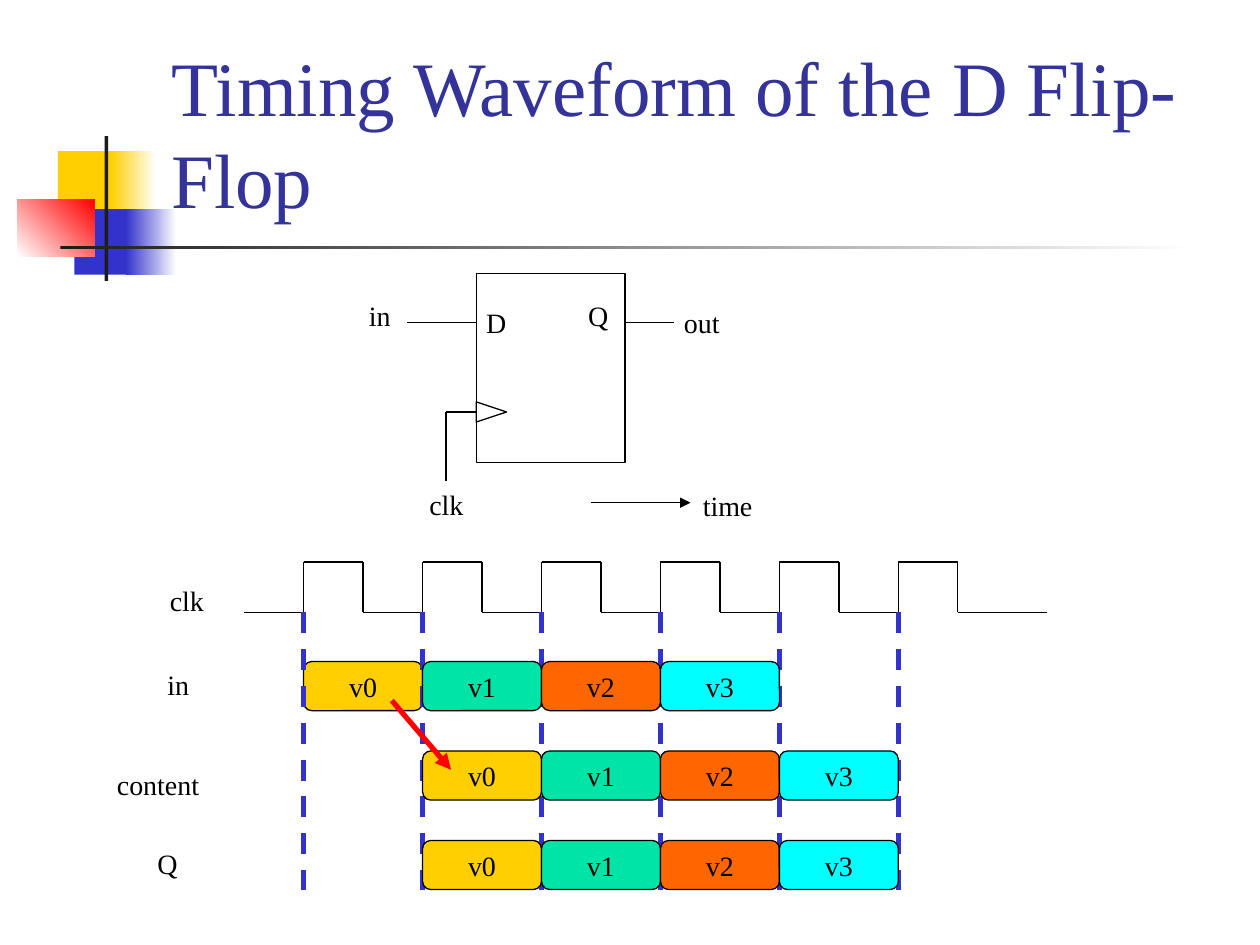
from itertools import pairwise

from lxml import etree
from pptx import Presentation
from pptx.dml.color import RGBColor
from pptx.enum import dml, shapes, text
from pptx.oxml import ns
from pptx.util import Inches, Pt

FONT = "Times New Roman"
BLACK = RGBColor(0, 0, 0)
WHITE = RGBColor(255, 255, 255)
CHARCOAL = RGBColor(0x1C, 0x1C, 0x1C)
NAVY = RGBColor(0x33, 0x33, 0x99)
BLUE = RGBColor(0x33, 0x33, 0xCC)
RED = RGBColor(255, 0, 0)
YELLOW = RGBColor(0xFF, 0xCF, 0x01)
GREEN = RGBColor(0x00, 0xE4, 0xA8)
ORANGE = RGBColor(0xFF, 0x66, 0x00)
CYAN = RGBColor(0, 255, 255)

VALUE_COLORS = (YELLOW, GREEN, ORANGE, CYAN)
FIRST_EDGE = 2.41
EDGE_COUNT = 6
PERIOD = (7.13 - FIRST_EDGE) / (EDGE_COUNT - 1)
CLOCK_HIGH, CLOCK_LOW = 4.46, 4.86
DIAGRAM_BOTTOM = 7.06
IN_TOP, CONTENT_TOP, Q_TOP = 5.25, 5.96, 6.67


def write_text(shape, words, size=16, color=BLACK, align=text.PP_ALIGN.LEFT,
               anchor=text.MSO_ANCHOR.TOP, wrap=False, fit=text.MSO_AUTO_SIZE.NONE):
    """Put one formatted run of words into a shape."""
    frame = shape.text_frame
    frame.auto_size = fit
    frame.word_wrap = wrap
    frame.vertical_anchor = anchor
    para = frame.paragraphs[0]
    para.alignment = align
    span = para.add_run()
    span.text = words
    span.font.name = FONT
    span.font.size = Pt(size)
    span.font.color.rgb = color


def add_label(page, words, left, top, width):
    """Add a one-line label."""
    box = page.shapes.add_textbox(Inches(left), Inches(top), Inches(width), Inches(0.37))
    write_text(box, words, fit=text.MSO_AUTO_SIZE.SHAPE_TO_FIT_TEXT)


def add_box(page, kind, left, top, width, height, fill=None, outline=BLACK):
    """Add a preset shape with an optional solid fill and outline."""
    box = page.shapes.add_shape(kind, Inches(left), Inches(top), Inches(width), Inches(height))
    box.shadow.inherit = False
    if fill is None:
        box.fill.background()
    else:
        box.fill.solid()
        box.fill.fore_color.rgb = fill
    if outline is None:
        box.line.fill.background()
    else:
        box.line.color.rgb = outline
        box.line.width = Pt(0.75)
    return box


def add_fade(page, left, top, width, height, start, end, angle=0):
    """Add a rectangle that fades between two colours."""
    box = add_box(page, shapes.MSO_SHAPE.RECTANGLE, left, top, width, height, outline=None)
    box.fill.gradient()
    box.fill.gradient_angle = angle
    for stop, color in zip(box.fill.gradient_stops, (start, end)):
        stop.color.rgb = color


def add_line(page, start, end, color=BLACK, width=0.75, dashed=False, arrow=False):
    """Add a straight line, optionally dashed or with an arrowhead."""
    line = page.shapes.add_connector(shapes.MSO_CONNECTOR.STRAIGHT,
                                     *(Inches(value) for value in (*start, *end)))
    line.line.color.rgb = color
    line.line.width = Pt(width)
    if dashed:
        line.line.dash_style = dml.MSO_LINE.DASH
    if arrow:
        etree.SubElement(line.line._get_or_add_ln(), ns.qn("a:tailEnd"), type="triangle")
    etree.SubElement(line._element.spPr, ns.qn("a:effectLst"))


def add_path(page, points):
    """Join successive points with lines."""
    for start, end in pairwise(points):
        add_line(page, start, end)


def edge(number):
    """Return the horizontal position of a rising clock edge."""
    return FIRST_EDGE + number * PERIOD


def add_value(page, number, slot, top):
    """Add a numbered value in one clock period."""
    box = add_box(page, shapes.MSO_SHAPE.ROUNDED_RECTANGLE, edge(slot), top, PERIOD, 0.39,
                  VALUE_COLORS[number])
    write_text(box, f"v{number}", align=text.PP_ALIGN.CENTER, anchor=text.MSO_ANCHOR.MIDDLE)


def add_decoration(page):
    """Draw the coloured blocks and rules beside the title."""
    block = shapes.MSO_SHAPE.RECTANGLE
    add_box(page, block, 0.46, 1.2, 0.48, 0.52, YELLOW, None)
    add_fade(page, 0.88, 1.2, 0.36, 0.52, YELLOW, WHITE)
    add_box(page, block, 0.59, 1.66, 0.46, 0.52, BLUE, None)
    add_fade(page, 1, 1.66, 0.4, 0.52, BLUE, WHITE)
    add_fade(page, 0.14, 1.58, 0.61, 0.46, WHITE, RED, angle=45)
    add_box(page, block, 0.83, 1.08, 0.03, 1.15, CHARCOAL, None)
    add_fade(page, 0.48, 1.95, 9, 0.03, CHARCOAL, WHITE)


def add_title(page, words):
    """Place and fill the title placeholder."""
    title = page.shapes.title
    title.left, title.top = Inches(1.26), Inches(0.23)
    title.width, title.height = Inches(8.52), Inches(1.6)
    write_text(title, words, size=44, color=NAVY, anchor=text.MSO_ANCHOR.BOTTOM, wrap=True)


def add_flip_flop(page):
    """Draw the flip-flop symbol with its pins."""
    add_box(page, shapes.MSO_SHAPE.RECTANGLE, 3.78, 2.17, 1.18, 1.5)
    clock_mark = add_box(page, shapes.MSO_SHAPE.ISOSCELES_TRIANGLE, 3.82, 3.15, 0.16, 0.24)
    clock_mark.rotation = 90
    add_line(page, (4.96, 2.56), (5.35, 2.56))
    add_line(page, (3.78, 2.56), (3.23, 2.56))
    add_path(page, [(3.78, 3.27), (3.54, 3.27), (3.54, 3.82)])
    for label in (("D", 3.76, 2.38, 0.36), ("Q", 4.57, 2.32, 0.36), ("in", 2.83, 2.32, 0.38),
                  ("out", 5.33, 2.38, 0.49), ("clk", 3.31, 3.82, 0.47)):
        add_label(page, *label)


def add_clock(page):
    """Draw the clock waveform."""
    points = [(1.94, CLOCK_LOW)]
    for number in range(EDGE_COUNT):
        rise, fall = edge(number), edge(number + 0.5)
        points += [(rise, CLOCK_LOW), (rise, CLOCK_HIGH), (fall, CLOCK_HIGH), (fall, CLOCK_LOW)]
    add_path(page, points + [(8.31, CLOCK_LOW)])


def add_timing(page):
    """Draw the signal rows, the clock edges and the arrows."""
    add_clock(page)
    add_value(page, 0, 0, IN_TOP)
    for number in range(EDGE_COUNT):
        add_line(page, (edge(number), CLOCK_LOW), (edge(number), DIAGRAM_BOTTOM),
                 color=BLUE, width=3, dashed=True)
    for number in range(1, len(VALUE_COLORS)):
        add_value(page, number, number, IN_TOP)
    for top in (CONTENT_TOP, Q_TOP):
        for number in range(len(VALUE_COLORS)):
            add_value(page, number, number + 1, top)
    for label in (("clk", 1.25, 4.58, 0.47), ("in", 1.23, IN_TOP, 0.38),
                  ("content", 0.83, 6.04, 0.86), ("Q", 1.15, Q_TOP, 0.36),
                  ("time", 5.48, 3.83, 0.6)):
        add_label(page, *label)
    add_line(page, (4.69, 3.99), (5.48, 3.99), arrow=True)
    add_line(page, (3.11, 5.56), (3.58, 6.11), color=RED, width=3, arrow=True)


def main():
    """Build and save the slide."""
    deck = Presentation()
    deck.slide_width, deck.slide_height = Inches(10), Inches(7.5)
    page = deck.slides.add_slide(deck.slide_layouts[5])
    add_decoration(page)
    add_title(page, "Timing Waveform of the D Flip-Flop")
    add_flip_flop(page)
    add_timing(page)
    deck.save("out.pptx")


main()
